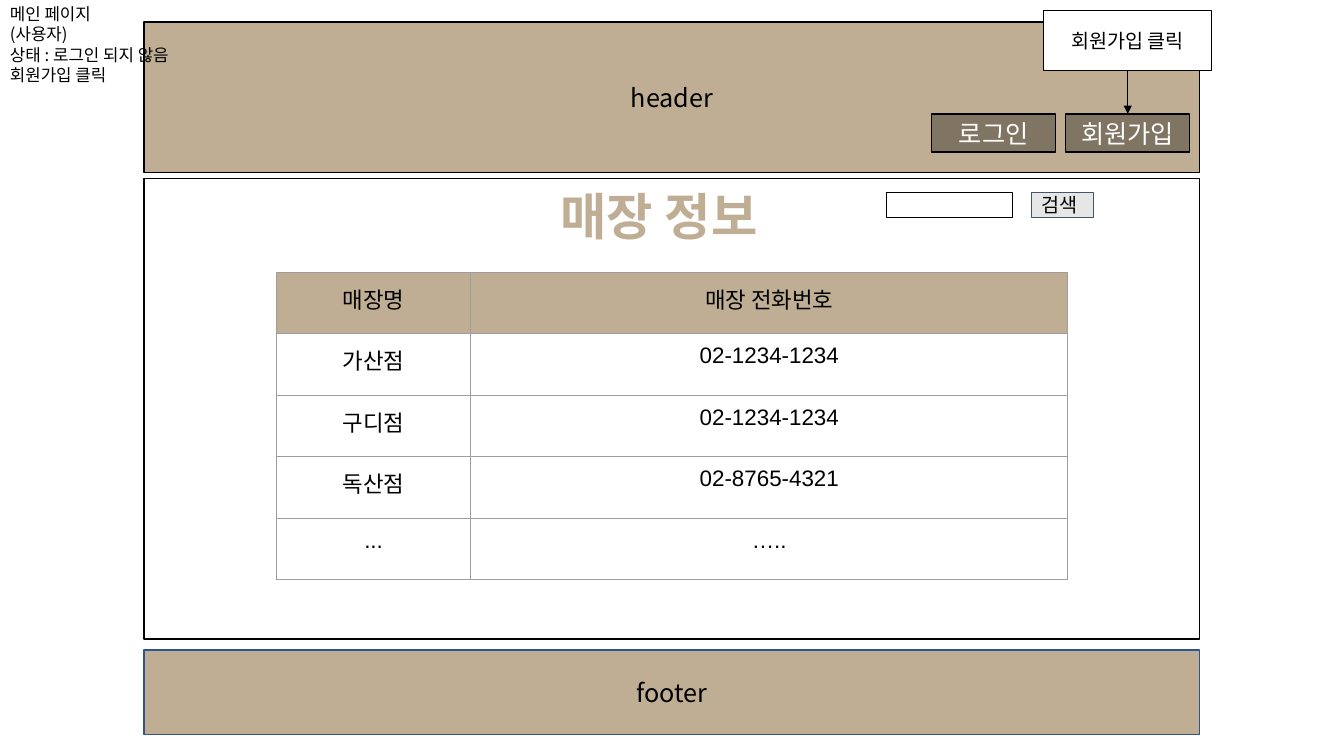
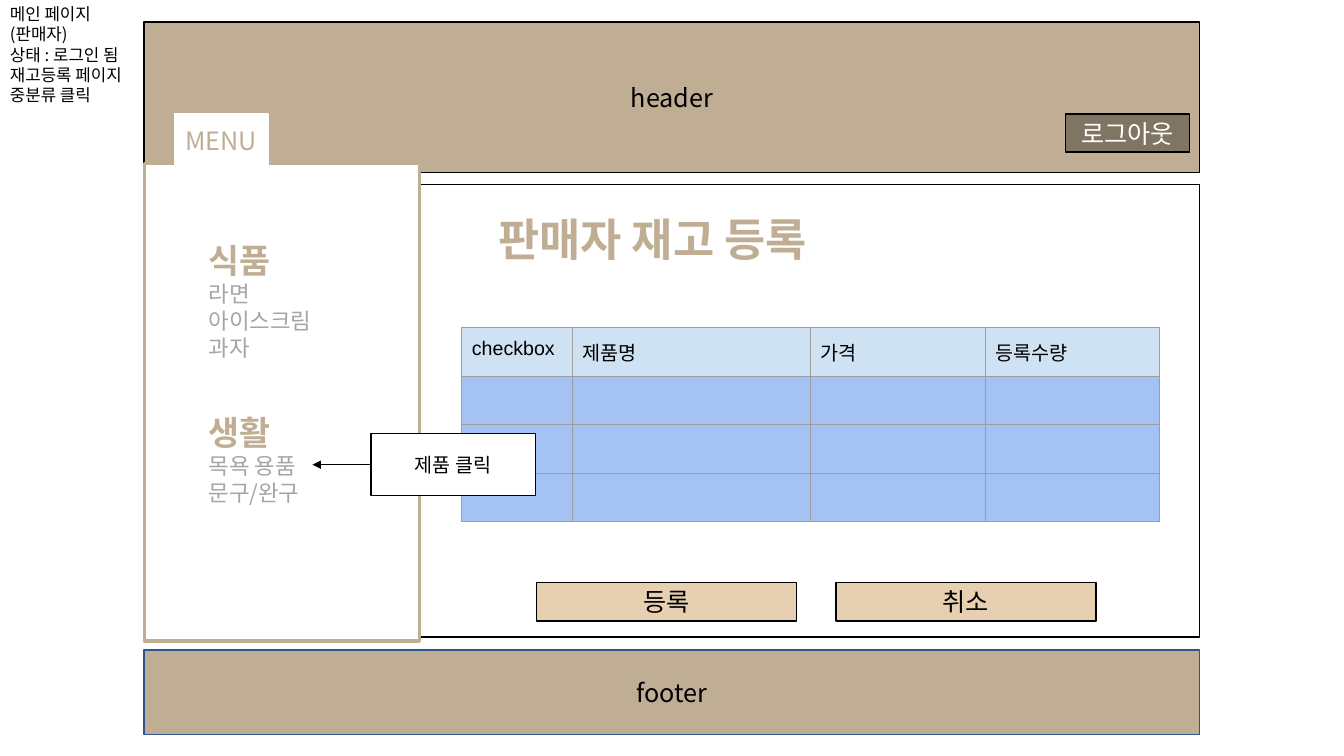
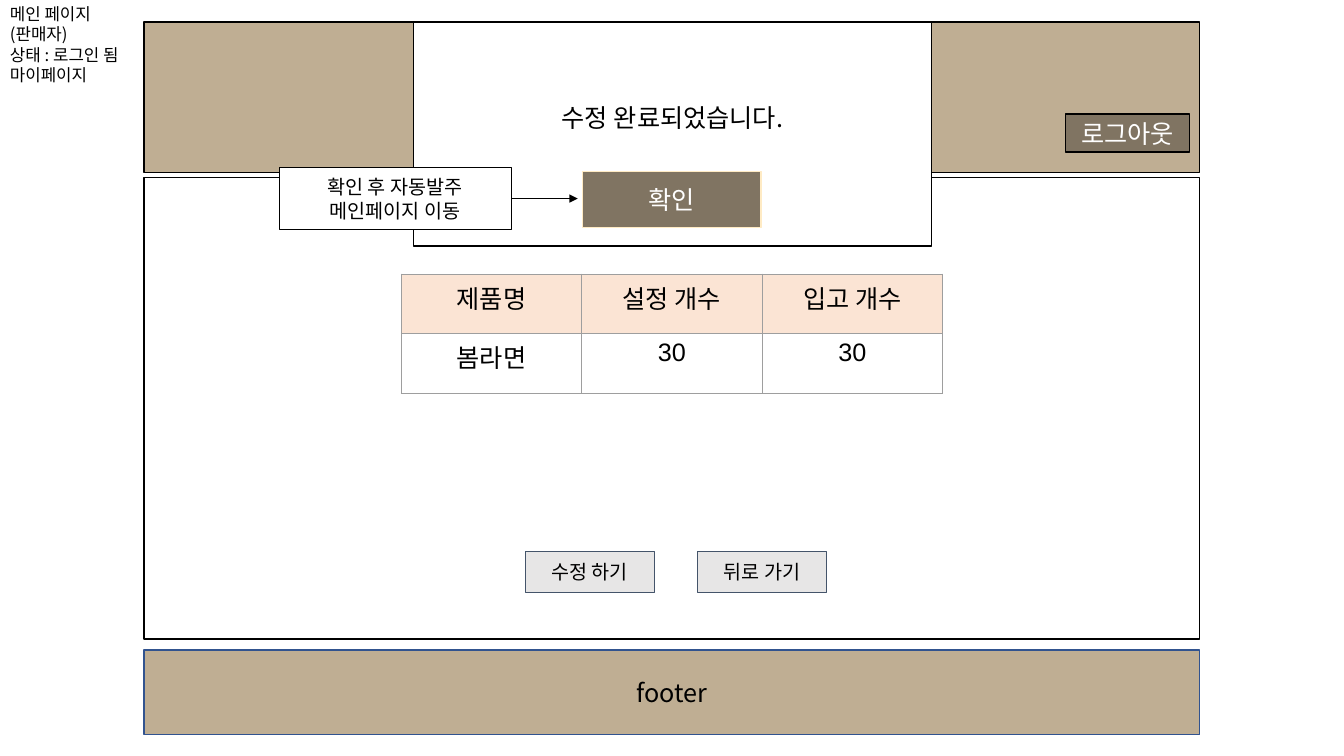
from pptx import Presentation
from pptx import util as u
from pptx.dml.color import RGBColor
from pptx.enum import shapes, text
from pptx.oxml import parse_xml
from pptx.oxml.ns import nsdecls, qn

PX = 9144  # 100 px to the inch
WIDE, HIGH = 1333, 750
LEFT, SPAN = 143, 1047

TAN = RGBColor(0xBF, 0xAE, 0x93)
BROWN = RGBColor(0x80, 0x74, 0x62)
SAND = RGBColor(0xE6, 0xD0, 0xB1)
CREAM = RGBColor(0xFF, 0xEB, 0xC4)
PEACH = RGBColor(0xFB, 0xE4, 0xD4)
PALE = RGBColor(0xCF, 0xE2, 0xF3)
SKY = RGBColor(0xA4, 0xC2, 0xF4)
NAVY = RGBColor(0x31, 0x53, 0x8F)
SLATE = RGBColor(0x44, 0x54, 0x6A)
SILVER = RGBColor(0xE7, 0xE6, 0xE6)
GRAY = RGBColor(0xA5, 0xA5, 0xA5)
WHITE = RGBColor(0xFF, 0xFF, 0xFF)
BLACK = RGBColor(0, 0, 0)
GRID = "9E9E9E"

NOTO, ARIAL = "Noto Sans CJK KR", "Arial"
MID, TOP = text.MSO_ANCHOR.MIDDLE, text.MSO_ANCHOR.TOP
MIDDLE, START = text.PP_ALIGN.CENTER, text.PP_ALIGN.LEFT


def px(*sizes):
    return [u.Emu(size * PX) for size in sizes]


def write(frame, words, size=18, color=BLACK, bold=False, font=NOTO,
          align=MIDDLE):
    """Add one paragraph for each line of words, after any text there."""
    for line in words.split("\n"):
        para = frame.paragraphs[-1]
        if para.runs:
            para = frame.add_paragraph()
        para.alignment = align
        run = para.add_run()
        run.text = line
        run.font.size, run.font.bold = u.Pt(size), bold
        run.font.color.rgb = color
        run.font.name = font
        run.font._element.find(qn("a:latin")).addnext(
            parse_xml(f'<a:ea {nsdecls("a")} typeface="{NOTO}"/>'))


def setup(frame, anchor, low=5):
    frame.word_wrap = True
    frame.auto_size = text.MSO_AUTO_SIZE.NONE
    frame.vertical_anchor = anchor
    frame.margin_left, frame.margin_right = px(10, 10)
    frame.margin_top, frame.margin_bottom = px(5, low)


def box(slide, place, words="", fill=WHITE, line=BLACK, width=1, low=5, **form):
    rect = slide.shapes.add_shape(shapes.MSO_SHAPE.RECTANGLE, *px(*place))
    rect.shadow.inherit = False
    rect.fill.solid()
    rect.fill.fore_color.rgb = fill
    rect.line.color.rgb = line
    rect.line.width = u.Pt(width)
    if words:
        setup(rect.text_frame, MID, low)
        write(rect.text_frame, words, **form)
    return rect


def label(slide, place, words, **form):
    frame = slide.shapes.add_textbox(*px(*place)).text_frame
    setup(frame, TOP)
    write(frame, words, align=START, **form)
    return frame


def title(slide, place, words, size):
    """Fill the title placeholder and bring it in front of the panel."""
    head = slide.shapes.title
    head.left, head.top, head.width, head.height = px(*place)
    setup(head.text_frame, TOP)
    write(head.text_frame, words, size=size, color=TAN, bold=True, align=START)
    head.element.getparent().append(head.element)


def frame(slide, note, top, height, header="header"):
    """Draw the page parts: header, body panel, footer and state note."""
    box(slide, (LEFT, 22, SPAN, 149), header, fill=TAN)
    box(slide, (LEFT, top, SPAN, height))
    box(slide, (LEFT, 645, SPAN, 84), "footer", fill=TAN, line=NAVY)
    label(slide, (0, -1, 199, 91), note, size=12)


def button(slide, words, slot=0):
    """Add a header button; slots count from the right."""
    return box(slide, (1057 - 133 * slot, 113, 123, 38), words,
               fill=BROWN, color=WHITE)


def soft(slide, place, words, **form):
    box(slide, place, words, fill=SILVER, line=SLATE, width=0.75,
        size=14, font=ARIAL, **form)


def callout(slide, place, words, side, tip=(0, 0), goal=None):
    """Add a boxed remark with an arrow from one side to tip or goal's top."""
    rect = box(slide, place, words, width=0.75, size=14, font=ARIAL)
    arrow = slide.shapes.add_connector(
        shapes.MSO_CONNECTOR.STRAIGHT, *px(0, 0, *tip))
    arrow.begin_connect(rect, side)
    if goal is not None:
        arrow.end_connect(goal, 0)
    arrow.line.color.rgb = BLACK
    arrow.line.width = u.Pt(0.75)
    arrow.line._get_or_add_ln().append(
        parse_xml(f'<a:tailEnd {nsdecls("a")} type="triangle"/>'))
    arrow._element.spPr.append(parse_xml(f'<a:effectLst {nsdecls("a")}/>'))


def edge(cell):
    for side in "LRTB":
        cell._tc.get_or_add_tcPr().append(parse_xml(
            f'<a:ln{side} {nsdecls("a")} w="9525"><a:solidFill>'
            f'<a:srgbClr val="{GRID}"/></a:solidFill></a:ln{side}>'))


def table(slide, spot, cols, high, rows, head, body=None, pad=10, **form):
    place = px(*spot, sum(cols), high * len(rows))
    grid = slide.shapes.add_table(len(rows), len(cols), *place).table
    grid.first_row = grid.horz_banding = False
    for col, wide in zip(grid.columns, cols):
        col.width, = px(wide)
    for r, row in enumerate(rows):
        grid.rows[r].height, = px(high)
        tint = body if r else head
        for c, words in enumerate(row):
            cell = grid.cell(r, c)
            edge(cell)
            if tint is None:
                cell.fill.background()
            else:
                cell.fill.solid()
                cell.fill.fore_color.rgb = tint
            if words:
                cell.margin_left, cell.margin_right = px(10, 10)
                cell.margin_top, cell.margin_bottom = px(pad, pad)
                write(cell.text_frame, words, font=ARIAL, **form)


def menu(slide, place, head, items):
    body = label(slide, place, head, size=24, color=TAN, bold=True)
    write(body, items, size=16, color=GRAY, align=START)


def stores(slide):
    frame(slide, "메인 페이지\n(사용자)\n상태 : 로그인 되지 않음\n회원가입 클릭",
          177, 457)
    join = button(slide, "회원가입")
    button(slide, "로그인", 1)
    title(slide, (546, 179, 241, 71), "매장 정보", 36)
    box(slide, (879, 191, 125, 25), width=0.75)
    soft(slide, (1023, 191, 62, 25), "검색", align=START)
    rows = [("매장명", "매장 전화번호"),
            ("가산점", "02-1234-1234"),
            ("구디점", "02-1234-1234"),
            ("독산점", "02-8765-4321"),
            ("...", "…..")]
    table(slide, (274, 270), (193, 592), 61, rows, TAN, size=16)
    callout(slide, (1035, 10, 167, 60), "회원가입 클릭", 2, goal=join)


def stock(slide):
    frame(slide, "메인 페이지\n(판매자)\n상태 : 로그인 됨\n재고등록 페이지\n중분류 클릭",
          183, 449)
    button(slide, "로그아웃")
    title(slide, (484, 205, 365, 64), "판매자 재고 등록", 32)
    rows = [("checkbox", "제품명", "가격", "등록수량")] + [("",) * 4] * 3
    table(slide, (458, 325), (110, 236, 173, 173), 48, rows, PALE, SKY,
          size=14, align=START)
    for i, words in enumerate(("등록", "취소")):
        box(slide, (532 + 297 * i, 578, 258, 38), words, fill=SAND)
    box(slide, (LEFT, 162, 273, 474), line=TAN, width=2.25)
    box(slide, (173, 113, 93, 53), "MENU", line=WHITE, color=TAN)
    menu(slide, (197, 233, 164, 131), "식품", "라면\n아이스크림\n과자")
    menu(slide, (197, 404, 128, 104), "생활", "목욕 용품\n문구/완구")
    callout(slide, (368, 430, 163, 62), "제품 클릭", 1, tip=(310, 461))


def done(slide):
    frame(slide, "메인 페이지\n(판매자)\n상태 : 로그인 됨\n마이페이지",
          176, 458, header="")
    button(slide, "로그아웃")
    for i, words in enumerate(("수정 하기", "뒤로 가기")):
        soft(slide, (521 + 171 * i, 547, 128, 41), words)
    rows = [("제품명", "설정 개수", "입고 개수"), ("봄라면", "30", "30")]
    table(slide, (398, 272), (179, 179, 179), 59, rows, PEACH, pad=5)
    box(slide, (410, 22, 514, 222), "수정 완료되었습니다.", low=37)
    box(slide, (578, 170, 177, 56), "확인", fill=BROWN, line=CREAM, color=WHITE)
    callout(slide, (277, 166, 230, 62), "확인 후 자동발주\n메인페이지 이동", 3,
            tip=(573, 197))


def main():
    deck = Presentation()
    deck.slide_width, deck.slide_height = px(WIDE, HIGH)
    titled = deck.slide_layouts.get_by_name("Title Only")
    blank = deck.slide_layouts.get_by_name("Blank")
    for fill, layout in ((stores, titled), (stock, titled), (done, blank)):
        fill(deck.slides.add_slide(layout))
    deck.save("out.pptx")


if __name__ == "__main__":
    main()
